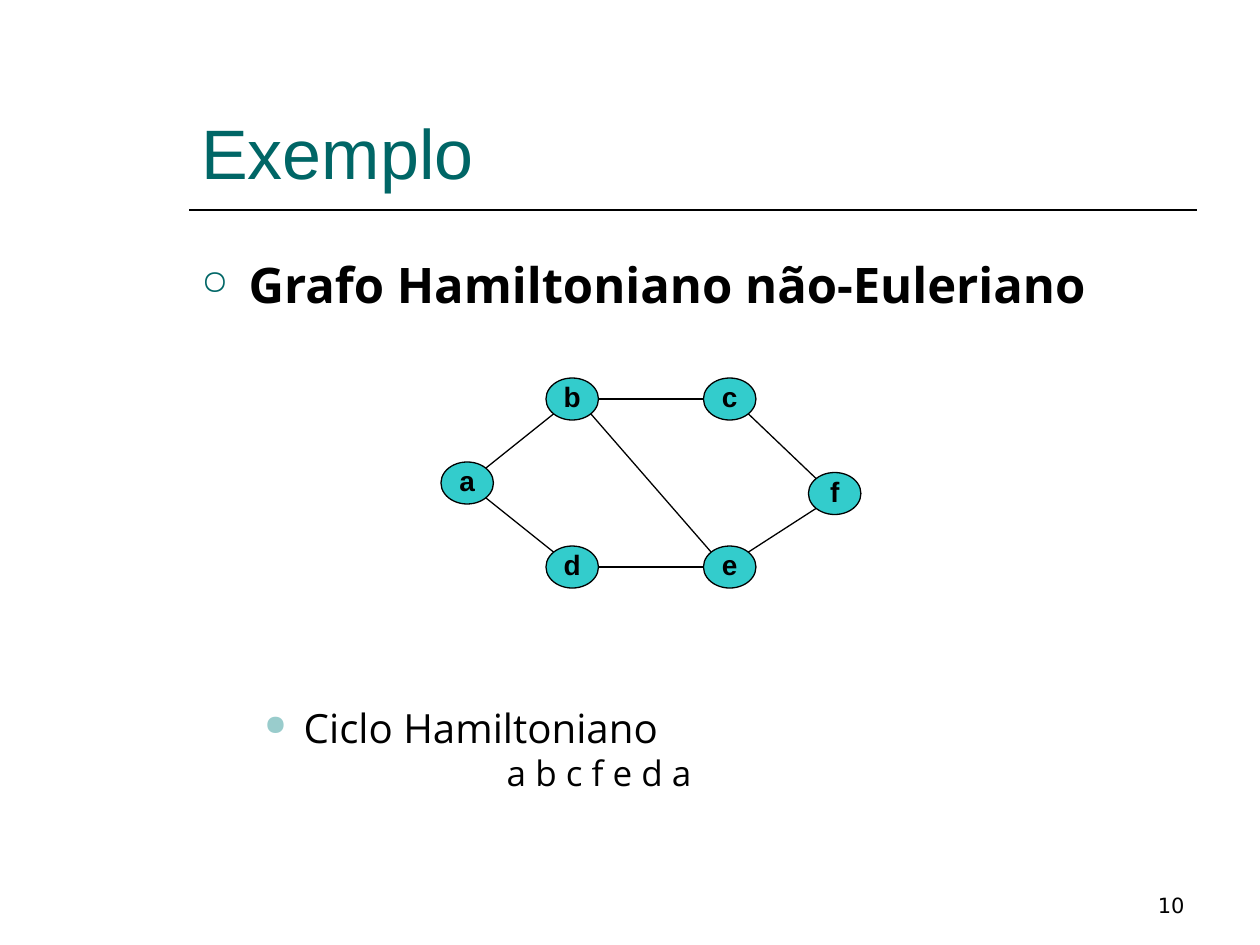
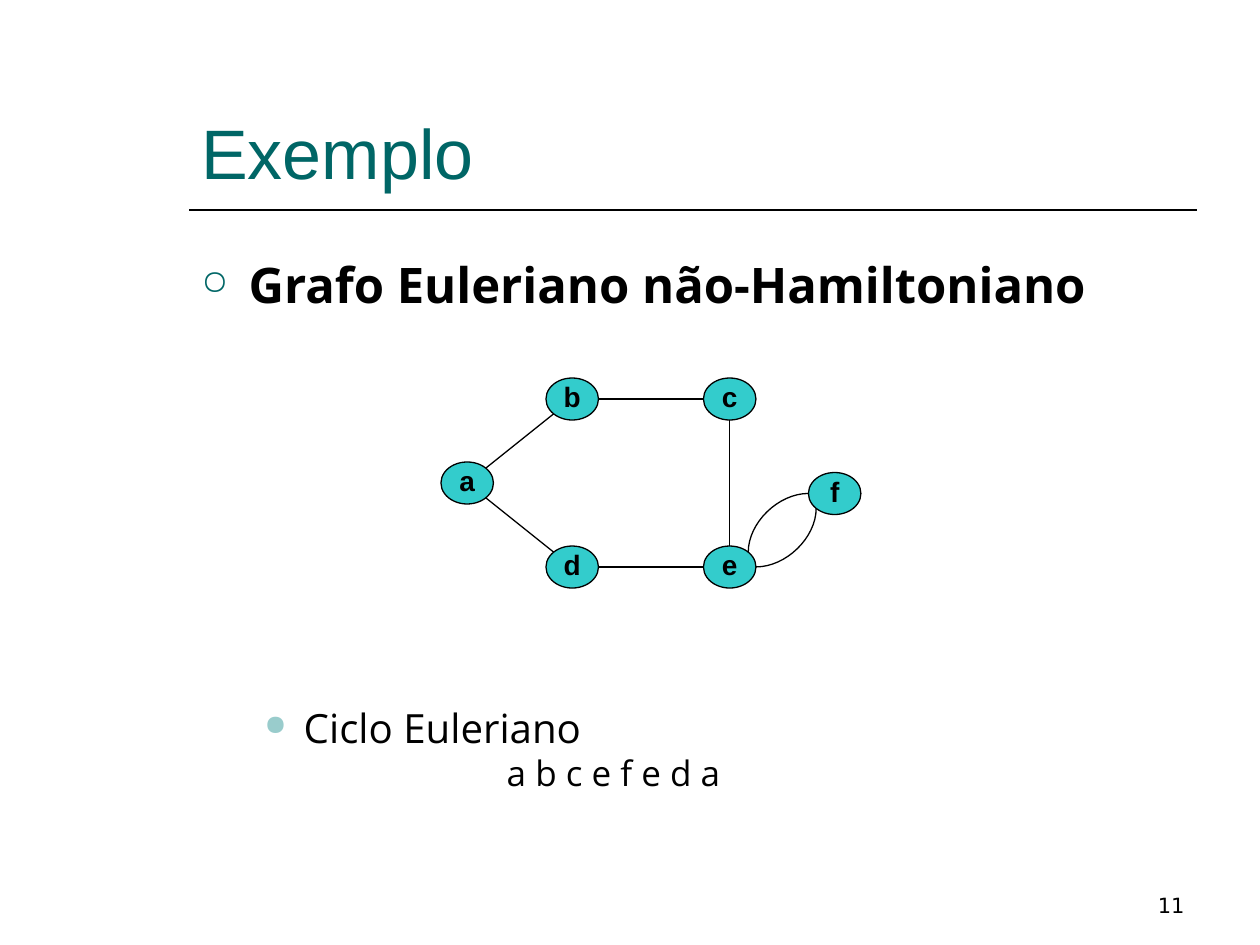
"""Build two slides comparing Hamiltonian and Eulerian graphs."""
import dataclasses
import math

import lxml.etree
import pptx
import pptx.dml.color
import pptx.enum.shapes
import pptx.enum.text
import pptx.oxml.ns
import pptx.util

Pt = pptx.util.Pt
RGB = pptx.dml.color.RGBColor.from_string
qn = pptx.oxml.ns.qn
ALIGN = pptx.enum.text.PP_ALIGN
ANCHOR = pptx.enum.text.MSO_ANCHOR
CONNECTOR = pptx.enum.shapes.MSO_CONNECTOR


@dataclasses.dataclass(frozen=True)
class Theme:
    teal: str = "006666"
    pale_teal: str = "99CCCC"
    node_fill: str = "33CCCC"
    ink: str = "000000"
    heading_font: str = "Arial"
    body_font: str = "Open Sans"
    number_font: str = "DejaVu Sans"
    title_size: int = 40
    topic_size: int = 28
    cycle_size: int = 23
    path_size: int = 20
    node_size: int = 16
    number_size: int = 12
    rule_width: float = 1
    graph_line: float = 0.75


theme = Theme()


def format_text(paragraph, font, size, color, bold=False):
    """Apply one character style to every run of a paragraph."""
    for run in paragraph.runs:
        run.font.name = font
        run.font.size = Pt(size)
        run.font.bold = bold
        run.font.color.rgb = RGB(color)


def add_line(slide, kind, start, end, width):
    """Draw a plain connector between two points."""
    line = slide.shapes.add_connector(kind, *(Pt(value) for value in (*start, *end)))
    line.line.color.rgb = RGB(theme.ink)
    line.line.width = Pt(width)
    lxml.etree.SubElement(line._element.spPr, qn("a:effectLst"))
    return line


node_width, node_height = 30, 24
node_corners = {
    "a": (252, 264), "b": (312, 216), "c": (402, 216),
    "d": (312, 312), "e": (402, 312), "f": (462, 270),
}
diagonal = math.sqrt(0.5)
sites = {
    "top": (0, -1), "bottom": (0, 1), "left": (-1, 0), "right": (1, 0),
    "top left": (-diagonal, -diagonal), "top right": (diagonal, -diagonal),
    "bottom left": (-diagonal, diagonal), "bottom right": (diagonal, diagonal),
}
shared_edges = [
    ("a", "bottom right", "d", "top left"),
    ("a", "top right", "b", "bottom left"),
    ("b", "right", "c", "left"),
    ("d", "right", "e", "left"),
]
examples = [
    {
        "number": "10",
        "topic": "Grafo Hamiltoniano não-Euleriano",
        "cycle": "Ciclo Hamiltoniano",
        "path": "a b c f e d a",
        "edges": [
            ("c", "bottom right", "f", "top left"),
            ("e", "top right", "f", "bottom left"),
            ("e", "top left", "b", "bottom right"),
        ],
        "curves": [],
    },
    {
        "number": "11",
        "topic": "Grafo Euleriano não-Hamiltoniano",
        "cycle": "Ciclo Euleriano",
        "path": "a b c e f e d a",
        "edges": [("e", "top", "c", "bottom")],
        "curves": [
            ("f", "left", "e", "top right"),
            ("e", "right", "f", "bottom left"),
        ],
    },
]

presentation = pptx.Presentation()
presentation.slide_width = Pt(720)
presentation.slide_height = Pt(540)

for example in examples:
    slide = presentation.slides.add_slide(presentation.slide_layouts[6])
    add_line(slide, CONNECTOR.STRAIGHT, (108, 120), (684, 120), theme.rule_width)

    title = slide.shapes.add_textbox(Pt(108), Pt(24), Pt(576), Pt(90)).text_frame
    title.word_wrap = True
    title.vertical_anchor = ANCHOR.BOTTOM
    title.text = "Exemplo"
    format_text(title.paragraphs[0], theme.heading_font, theme.title_size, theme.teal)

    body = slide.shapes.add_textbox(Pt(108), Pt(144), Pt(576), Pt(324)).text_frame
    body.word_wrap = True
    body.margin_top = Pt(1.5)
    body.text = "\n".join((example["topic"], example["cycle"], example["path"]))
    body_styles = [
        (theme.topic_size, True, 0, 27, -27, "○", theme.teal),
        (theme.cycle_size, False, 222.5, 58.5, -22.5, "●", theme.pale_teal),
        (theme.path_size, False, 0.5, 174.5, 0, None, None),
    ]
    for paragraph, style in zip(body.paragraphs, body_styles):
        size, bold, space, margin, indent, bullet, bullet_color = style
        format_text(paragraph, theme.body_font, size, theme.ink, bold)
        paragraph.space_before = Pt(space)
        properties = paragraph._p.get_or_add_pPr()
        properties.set("marL", str(Pt(margin)))
        properties.set("indent", str(Pt(indent)))
        if bullet:
            color = lxml.etree.SubElement(properties, qn("a:buClr"))
            lxml.etree.SubElement(color, qn("a:srgbClr"), val=bullet_color)
            lxml.etree.SubElement(properties, qn("a:buSzPct"), val="70000")
            lxml.etree.SubElement(properties, qn("a:buChar"), char=bullet)

    for name, (left, top) in node_corners.items():
        node = slide.shapes.add_shape(
            pptx.enum.shapes.MSO_SHAPE.OVAL,
            Pt(left), Pt(top), Pt(node_width), Pt(node_height))
        node.shadow.inherit = False
        node.fill.solid()
        node.fill.fore_color.rgb = RGB(theme.node_fill)
        node.line.color.rgb = RGB(theme.ink)
        node.line.width = Pt(theme.graph_line)
        node.text_frame.word_wrap = False
        node.text_frame.vertical_anchor = ANCHOR.MIDDLE
        node.text_frame.text = name
        label = node.text_frame.paragraphs[0]
        label.alignment = ALIGN.CENTER
        label.line_spacing = 0.87
        format_text(label, theme.heading_font, theme.node_size, theme.ink, True)

    straight = [(CONNECTOR.STRAIGHT, edge) for edge in shared_edges + example["edges"]]
    curved = [(CONNECTOR.CURVE, edge) for edge in example["curves"]]
    for kind, (source, source_site, target, target_site) in straight + curved:
        ends = []
        for name, site in ((source, source_site), (target, target_site)):
            left, top = node_corners[name]
            across, down = sites[site]
            ends.append((left + node_width / 2 * (1 + across),
                         top + node_height / 2 * (1 + down)))
        edge_line = add_line(slide, kind, *ends, theme.graph_line)
        if kind == CONNECTOR.CURVE:
            edge_line._element.spPr.find(qn("a:prstGeom")).set("prst", "curvedConnector2")

    number = slide.shapes.add_textbox(Pt(516), Pt(492), Pt(168), Pt(36)).text_frame
    number.word_wrap = True
    number.vertical_anchor = ANCHOR.BOTTOM
    number.text = example["number"]
    number.paragraphs[0].alignment = ALIGN.RIGHT
    format_text(number.paragraphs[0], theme.number_font, theme.number_size, theme.ink)

presentation.save("out.pptx")
